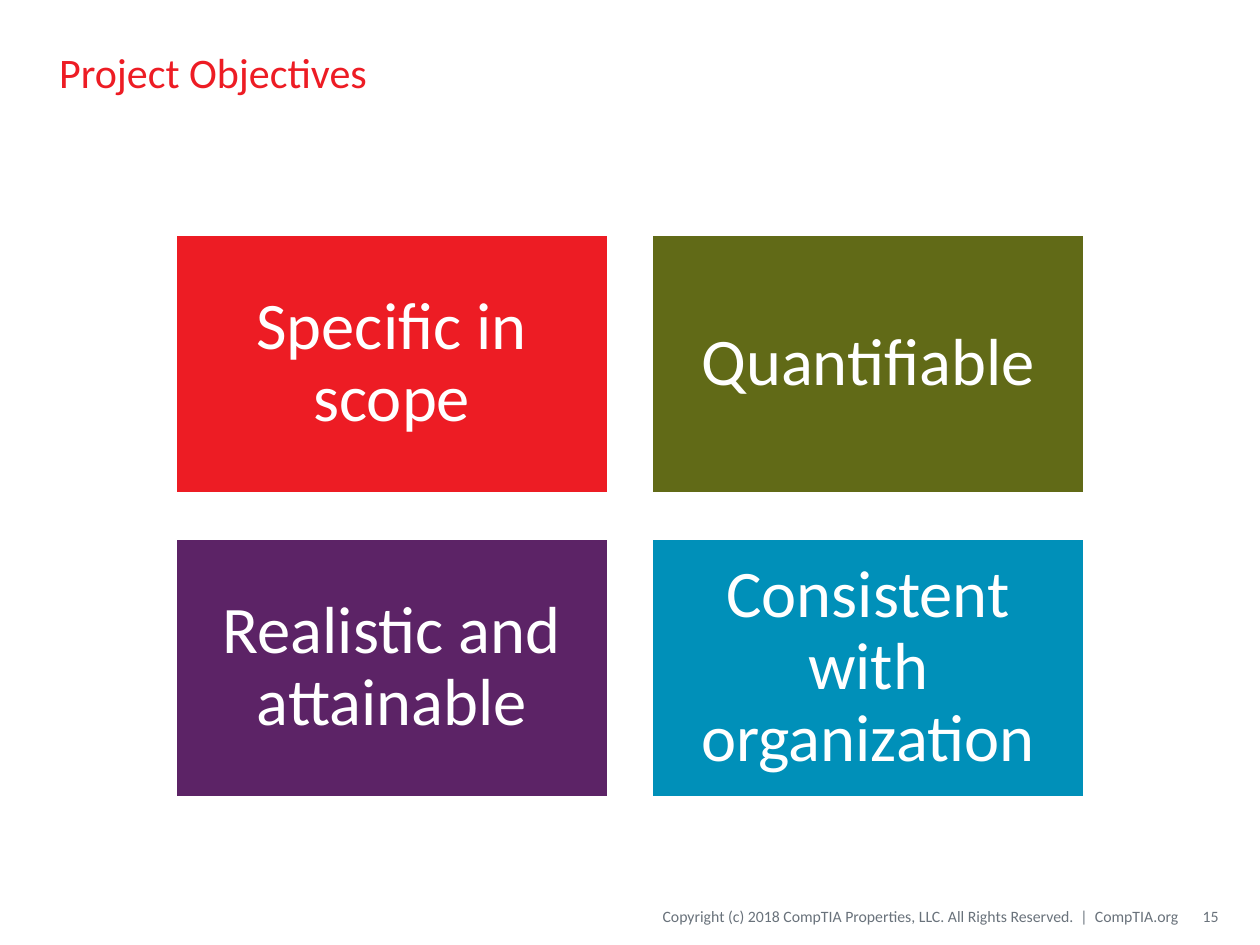
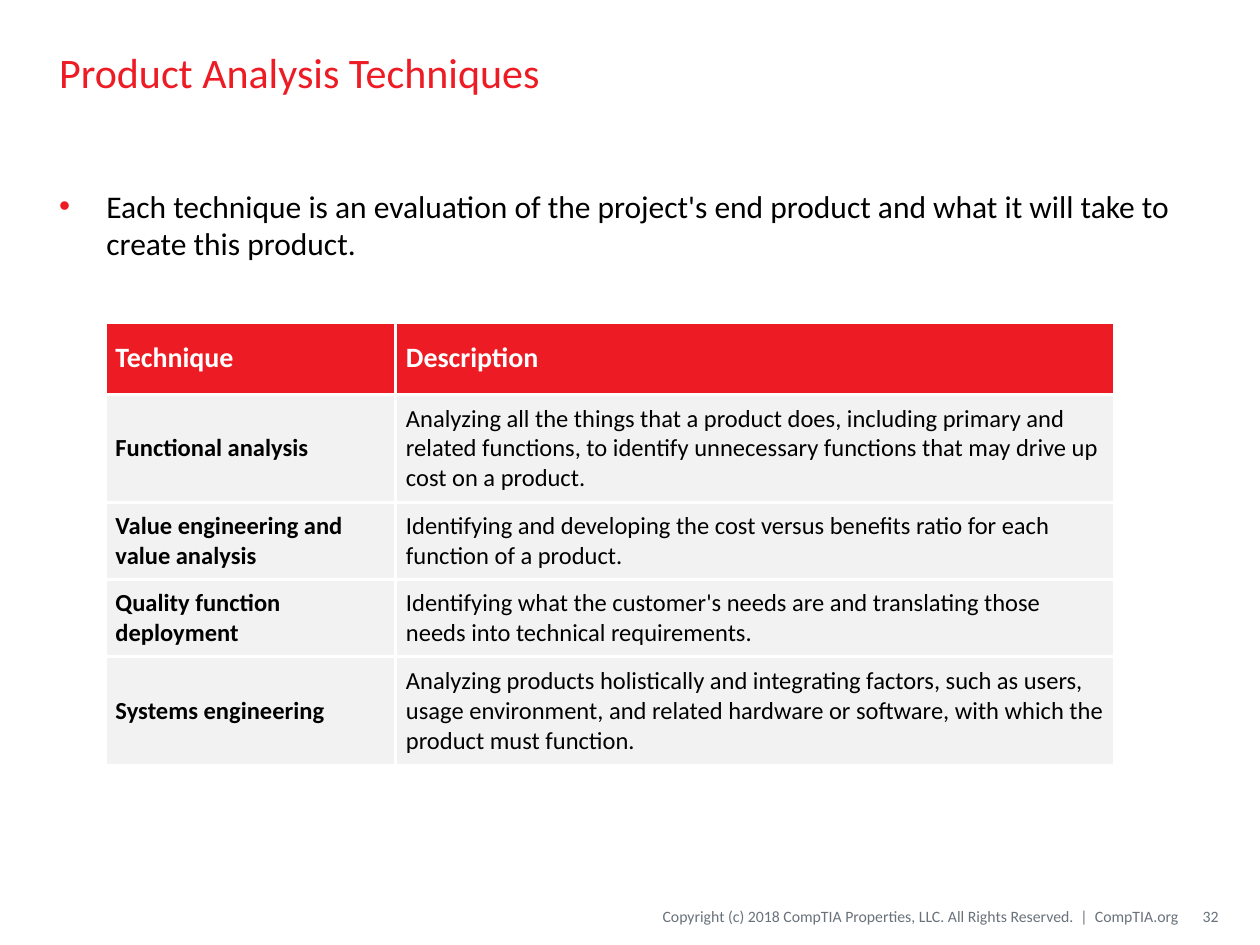
from lxml import etree
from pptx import Presentation
from pptx.dml.color import RGBColor
from pptx.enum import shapes, text
from pptx.oxml import ns
from pptx.util import Pt

HUES = {"red": "ED1C24", "olive": "616A17", "plum": "5C2366", "blue": "0090B9",
        "grey": "69727B", "pale": "F2F2F2", "white": "FFFFFF", "black": "000000"}
FONT = "Calibri"
LEFT, MID, RIGHT = text.PP_ALIGN.LEFT, text.PP_ALIGN.CENTER, text.PP_ALIGN.RIGHT
TOP, CENTRE = text.MSO_ANCHOR.TOP, text.MSO_ANCHOR.MIDDLE
TITLE = (26.6, 8, 666, 66)
BODY = (26.6, 103, 666, 374)
GRID = (100, 134, 520, 322)
TABLE = (60, 184.3, 577, 254)
NOTE = (279.4, 512.6, 393.8, 21.6)
PAGE = (675.4, 512.6, 20.9, 21.6)
CREDIT = ("Copyright (c) 2018 CompTIA Properties, LLC. "
          "All Rights Reserved.  |  CompTIA.org")
GOALS = [("Specific in scope", "red"), ("Quantifiable", "olive"),
         ("Realistic and attainable", "plum"), ("Consistent with organization", "blue")]
POINT = ("Each technique is an evaluation of the project's end product "
         "and what it will take to create this product.")
ROWS = [
    ("Technique", "Description"),
    ("Functional analysis",
     "Analyzing all the things that a product does, including primary and related "
     "functions, to identify unnecessary functions that may drive up cost on a product."),
    ("Value engineering and value analysis",
     "Identifying and developing the cost versus benefits ratio for each function "
     "of a product."),
    ("Quality function deployment",
     "Identifying what the customer's needs are and translating those needs into "
     "technical requirements."),
    ("Systems engineering",
     "Analyzing products holistically and integrating factors, such as users, usage "
     "environment, and related hardware or software, with which the product must function."),
]
WIDTHS = (166, 411)
HEIGHTS = (41, 62, 44, 44, 62)


def rgb(hue):
    """Return the named colour."""
    return RGBColor.from_string(HUES[hue])


def apply(item, values):
    """Set each attribute in values on item."""
    for key, value in values.items():
        setattr(item, key, value)


def place(shape, box):
    """Move and size a shape to a box in points."""
    apply(shape, dict(zip(("left", "top", "width", "height"), map(Pt, box))))


def write(frame, words, size, hue, align=LEFT, bold=False, **look):
    """Put one formatted paragraph in a text frame."""
    para = frame.paragraphs[0]
    apply(para, {"alignment": align, "space_before": Pt(0), **look})
    run = para.add_run()
    run.text = words
    apply(run.font, {"name": FONT, "size": Pt(size), "bold": bold})
    run.font.color.rgb = rgb(hue)


def setup(frame, anchor, side, edge):
    """Set wrapping, anchor and margins of a text frame."""
    apply(frame, {"word_wrap": True, "auto_size": text.MSO_AUTO_SIZE.NONE,
                  "vertical_anchor": anchor,
                  "margin_left": Pt(side), "margin_right": Pt(side),
                  "margin_top": Pt(edge), "margin_bottom": Pt(edge)})


def label(slide, box, words):
    """Add a small grey footer text."""
    shape = slide.shapes.add_textbox(*map(Pt, box))
    setup(shape.text_frame, CENTRE, 0, 3.6)
    write(shape.text_frame, words, 9, "grey", RIGHT)


def start(deck, layout, title, page):
    """Add a slide with its title and footer."""
    slide = deck.slides.add_slide(deck.slide_layouts[layout])
    head = slide.shapes.title
    place(head, TITLE)
    setup(head.text_frame, CENTRE, 7.2, 3.6)
    write(head.text_frame, title, 24, "red")
    label(slide, NOTE, CREDIT)
    label(slide, PAGE, page)
    return slide


def tiles(slide, box, goals, gap=(24.4, 25.4)):
    """Fill a box with a two by two grid of coloured tiles."""
    left, top, width, height = box
    wide, high = (width - gap[0]) / 2, (height - gap[1]) / 2
    for i, (words, hue) in enumerate(goals):
        row, col = divmod(i, 2)
        spot = (left + col * (wide + gap[0]), top + row * (high + gap[1]), wide, high)
        tile = slide.shapes.add_shape(shapes.MSO_SHAPE.RECTANGLE, *map(Pt, spot))
        tile.shadow.inherit = False
        tile.fill.solid()
        tile.fill.fore_color.rgb = rgb(hue)
        tile.line.color.rgb = rgb("white")
        tile.line.width = Pt(2)
        setup(tile.text_frame, CENTRE, 11.4, 11.4)
        write(tile.text_frame, words, 38, "white", MID, line_spacing=0.9)


def bullet(para, hue, indent):
    """Give a paragraph a coloured hanging bullet."""
    props = para._p.get_or_add_pPr()
    props.set("marL", str(Pt(indent)))
    props.set("indent", str(-Pt(indent)))
    tint = etree.SubElement(props, ns.qn("a:buClr"))
    etree.SubElement(tint, ns.qn("a:srgbClr"), val=HUES[hue])
    etree.SubElement(props, ns.qn("a:buFont"), typeface="Arial")
    etree.SubElement(props, ns.qn("a:buChar"), char="•")


def body(slide, box, words):
    """Write the bullet in the body placeholder."""
    shape = slide.placeholders[1]
    place(shape, box)
    setup(shape.text_frame, TOP, 7.2, 3.6)
    bullet(shape.text_frame.paragraphs[0], "red", 27)
    write(shape.text_frame, words, 18, "black")


def border(cell, hue, width):
    """Draw all four borders of a cell."""
    props = cell._tc.get_or_add_tcPr()
    for side in "LRTB":
        line = etree.SubElement(props, ns.qn(f"a:ln{side}"), w=str(Pt(width)))
        fill = etree.SubElement(line, ns.qn("a:solidFill"))
        etree.SubElement(fill, ns.qn("a:srgbClr"), val=HUES[hue])


def table(slide, box, rows):
    """Add the table of techniques."""
    grid = slide.shapes.add_table(len(rows), len(WIDTHS), *map(Pt, box)).table
    for col, wide in zip(grid.columns, WIDTHS):
        col.width = Pt(wide)
    for r, (row, high) in enumerate(zip(rows, HEIGHTS)):
        grid.rows[r].height = Pt(high)
        size, ink, back = (14, "black", "pale") if r else (16, "white", "red")
        for c, words in enumerate(row):
            cell = grid.cell(r, c)
            border(cell, "white", 2.25)
            cell.fill.solid()
            cell.fill.fore_color.rgb = rgb(back)
            cell.vertical_anchor = CENTRE
            apply(cell, {"margin_left": Pt(6), "margin_right": Pt(6)})
            write(cell.text_frame, words, size, ink, bold=r == 0 or c == 0)


def main():
    """Build and save the deck."""
    deck = Presentation()
    apply(deck, {"slide_width": Pt(720), "slide_height": Pt(540)})
    tiles(start(deck, 5, "Project Objectives", "15"), GRID, GOALS)
    slide = start(deck, 1, "Product Analysis Techniques", "32")
    body(slide, BODY, POINT)
    table(slide, TABLE, ROWS)
    deck.save("out.pptx")


if __name__ == "__main__":
    main()
